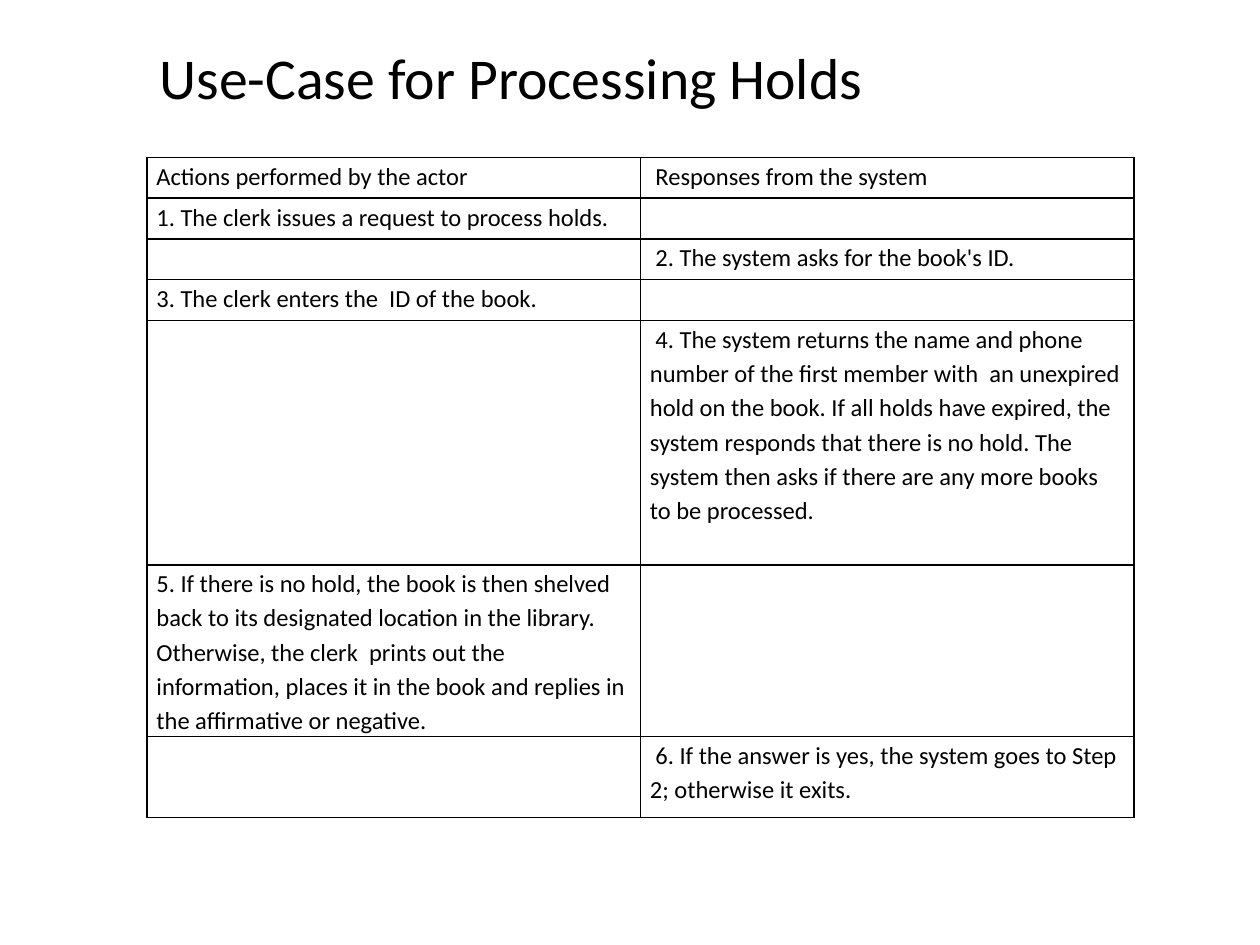
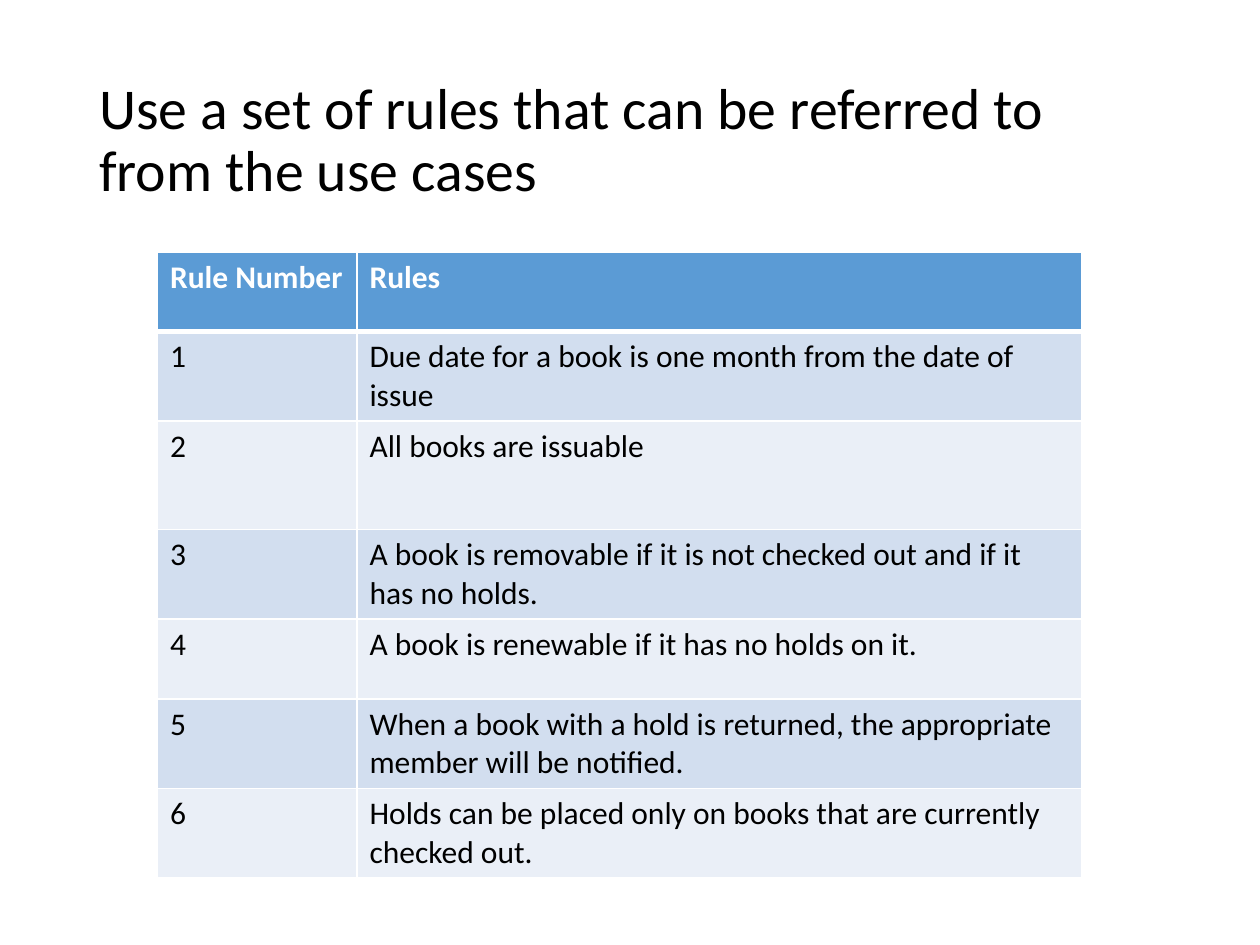
from lxml.etree import SubElement
from pptx import Presentation
from pptx.dml.color import RGBColor
from pptx.enum.text import MSO_ANCHOR, MSO_AUTO_SIZE, PP_ALIGN
from pptx.oxml.ns import qn
from pptx.util import Pt

COLORS = {
    "text": "000000",
    "white": "FFFFFF",
    "header": "5B9BD5",
    "odd_row": "D2DEEF",
    "even_row": "EAEFF7",
}
FONT = "Calibri"
TITLE_ONLY_LAYOUT = 5

HOLD_STEPS = [
    ("Actions performed by the actor", " Responses from the system"),
    ("1. The clerk issues a request to process holds.", ""),
    ("", " 2. The system asks for the book's ID."),
    ("3. The clerk enters the  ID of the book.", ""),
    ("", " 4. The system returns the name and phone number of the first member "
         "with  an unexpired hold on the book. If all holds have expired, the "
         "system responds that there is no hold. The system then asks if there "
         "are any more books to be processed."),
    ("5. If there is no hold, the book is then shelved back to its designated "
     "location in the library. Otherwise, the clerk  prints out the information, "
     "places it in the book and replies in the affirmative or negative.", ""),
    ("", " 6. If the answer is yes, the system goes to Step 2; otherwise it exits."),
]
STEP_HEIGHTS = [23.3] * 4 + [139.7, 93, 46.5]

RULES = [
    "Due date for a book is one month from the date of issue",
    "All books are issuable",
    "A book is removable if it is not checked out and if it has no holds.",
    "A book is renewable if it has no holds on it.",
    "When a book with a hold is returned, the appropriate member will be notified.",
    "Holds can be placed only on books that are currently checked out.",
]
RULE_HEIGHTS = [45.5, 45.5, 62] + [45.5] * 4


def write_text(text_frame, text, size, color="text", bold=False, spacing=1.0):
    paragraph = text_frame.paragraphs[0]
    paragraph.alignment = PP_ALIGN.LEFT
    paragraph.line_spacing = spacing
    run = paragraph.add_run()
    run.text = text
    run.font.name = FONT
    run.font.size = Pt(size)
    run.font.bold = bold
    run.font.color.rgb = RGBColor.from_string(COLORS[color])


def add_titled_slide(presentation, text, left, top, width, height):
    slide = presentation.slides.add_slide(
        presentation.slide_layouts[TITLE_ONLY_LAYOUT])
    title = slide.shapes.title
    title.left, title.top = Pt(left), Pt(top)
    title.width, title.height = Pt(width), Pt(height)
    title.text_frame.auto_size = MSO_AUTO_SIZE.NONE
    title.text_frame.word_wrap = True
    title.text_frame.vertical_anchor = MSO_ANCHOR.MIDDLE
    write_text(title.text_frame, text, 33, spacing=0.9)
    return slide


def add_plain_table(slide, left, top, column_widths, row_heights):
    table = slide.shapes.add_table(
        len(row_heights), len(column_widths), Pt(left), Pt(top),
        Pt(sum(column_widths)), Pt(sum(row_heights))).table
    table.first_row = False
    table.horz_banding = False
    for column, width in zip(table.columns, column_widths):
        column.width = Pt(width)
    for row, height in zip(table.rows, row_heights):
        row.height = Pt(height)
    return table


def set_borders(cell, color, top=1, bottom=1):
    properties = cell._tc.get_or_add_tcPr()
    for side, width in (("L", 1), ("R", 1), ("T", top), ("B", bottom)):
        line = SubElement(properties, qn(f"a:ln{side}"), w=str(Pt(width)))
        fill = SubElement(line, qn("a:solidFill"))
        SubElement(fill, qn("a:srgbClr"), val=COLORS[color])


def fill_cell(cell, color):
    cell.fill.solid()
    cell.fill.fore_color.rgb = RGBColor.from_string(COLORS[color])


def add_steps_table(slide):
    table = add_plain_table(slide, 84, 90, [282, 282], STEP_HEIGHTS)
    for row, texts in zip(table.rows, HOLD_STEPS):
        for cell, text in zip(row.cells, texts):
            set_borders(cell, "text")
            cell.fill.background()
            cell.margin_left = cell.margin_right = Pt(5.4)
            cell.margin_top = cell.margin_bottom = Pt(0)
            if text:
                write_text(cell.text_frame, text, 14, spacing=1.15)


def add_rules_table(slide):
    table = add_plain_table(slide, 90, 144, [114, 414], RULE_HEIGHTS)
    records = [("Rule Number", "Rules")]
    records += [(str(number), rule) for number, rule in enumerate(RULES, 1)]
    for index, (row, texts) in enumerate(zip(table.rows, records)):
        is_header = index == 0
        band = "header" if is_header else "odd_row" if index % 2 else "even_row"
        for cell, text in zip(row.cells, texts):
            set_borders(cell, "white", top=3 if index == 1 else 1,
                        bottom=3 if is_header else 1)
            fill_cell(cell, band)
            write_text(cell.text_frame, text, 18, bold=is_header,
                       color="white" if is_header else "text")


def main():
    presentation = Presentation()
    presentation.slide_width, presentation.slide_height = Pt(720), Pt(540)

    holds_slide = add_titled_slide(
        presentation, "Use-Case for Processing Holds", 84, 12, 600, 68.5)
    add_steps_table(holds_slide)

    rules_slide = add_titled_slide(
        presentation,
        "Use a set of rules that can be referred to from the use cases",
        49.5, 28.75, 621, 104.4)
    add_rules_table(rules_slide)

    presentation.save("out.pptx")


if __name__ == "__main__":
    main()
